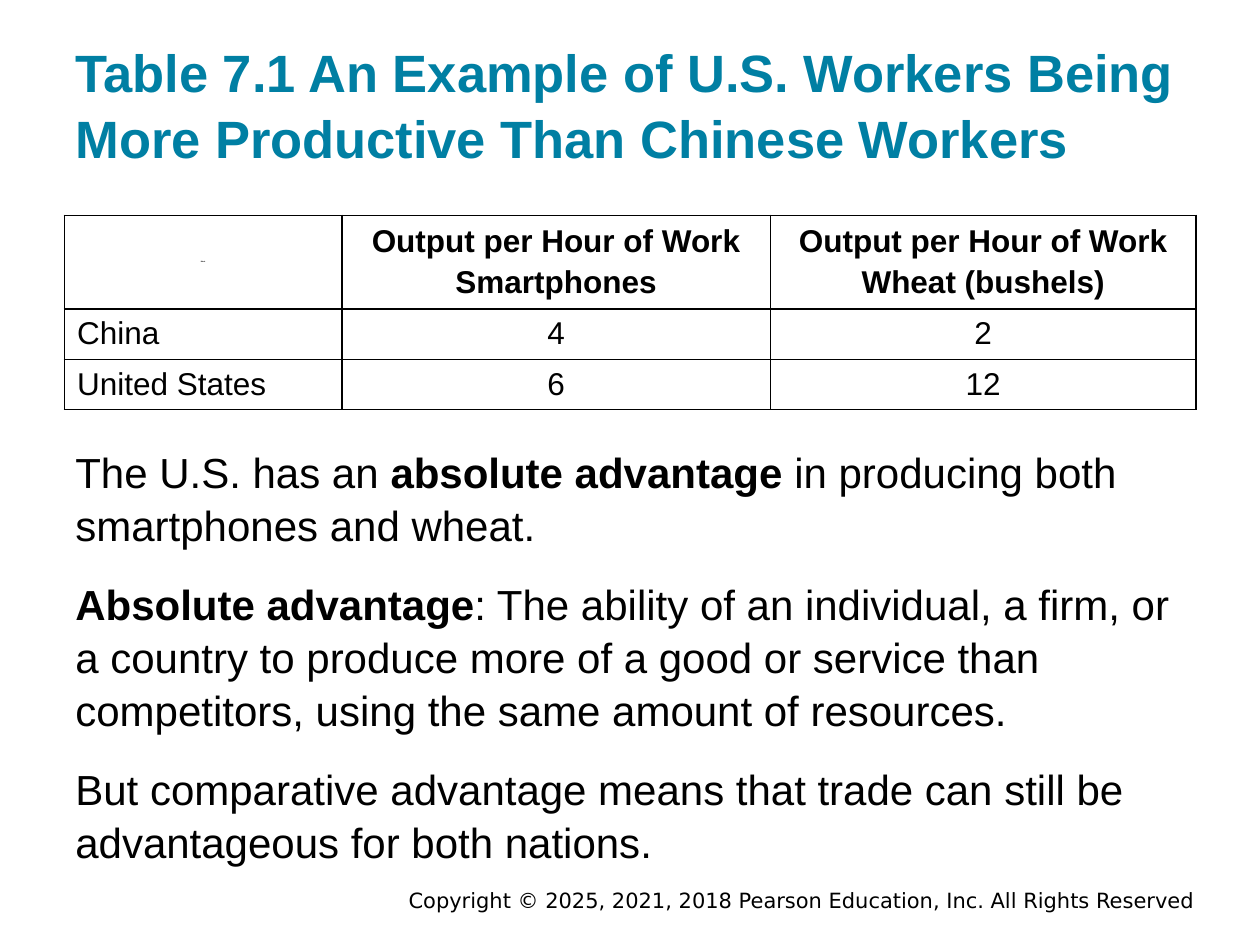
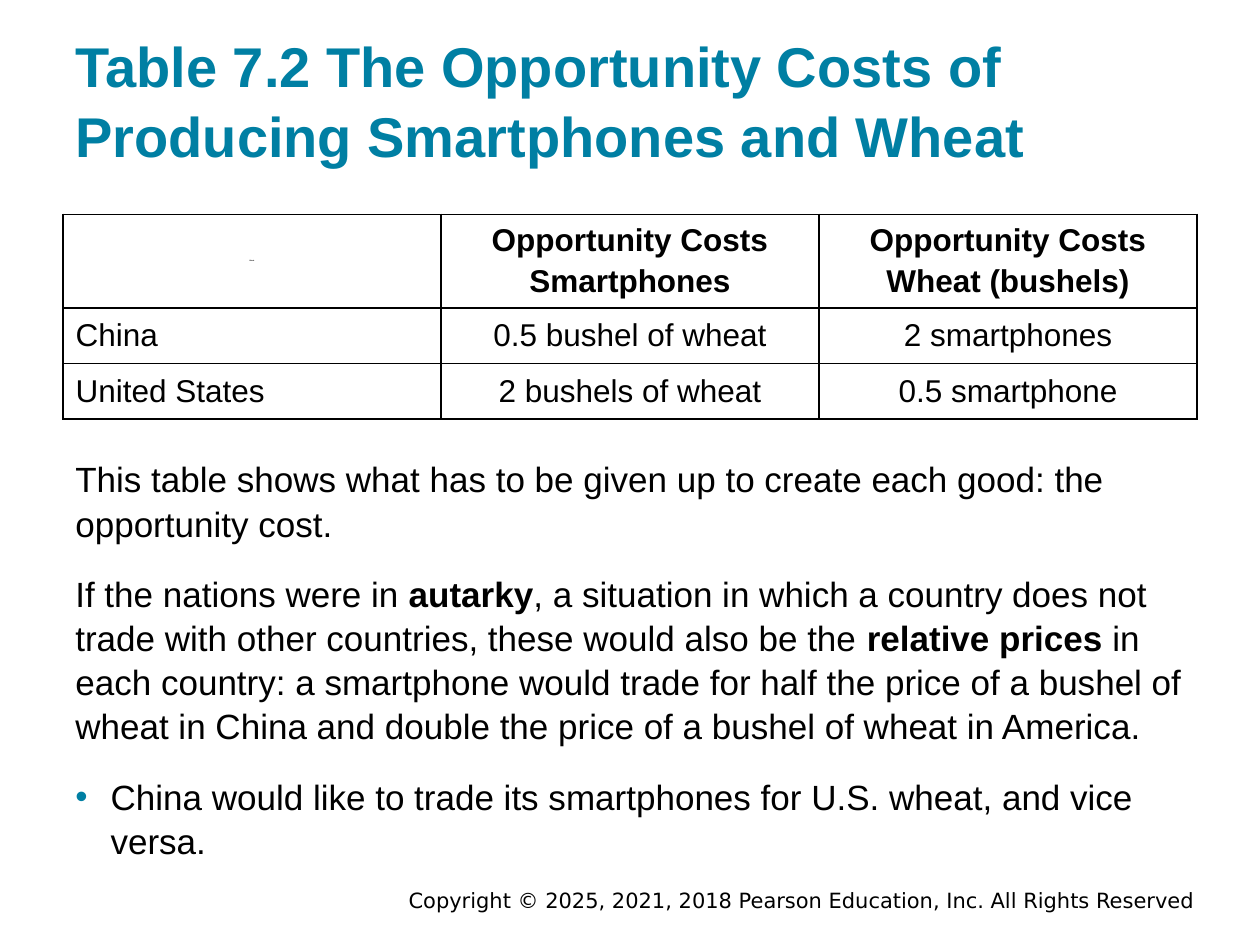
from dataclasses import dataclass

from lxml.etree import SubElement as Sub
from pptx import Presentation
from pptx.dml.color import RGBColor as RGB
from pptx.enum.text import MSO_ANCHOR as ANCHOR, PP_ALIGN as ALIGN
from pptx.oxml.ns import qn
from pptx.util import Cm, Pt


@dataclass(frozen=True)
class Theme:
    accent: RGB = RGB(0x00, 0x7F, 0xA3)
    ink: RGB = RGB(0, 0, 0)
    paper: RGB = RGB(0xFF, 0xFF, 0xFF)
    font: str = "Arial"
    footer_font: str = "DejaVu Sans"
    footer_size: int = 12
    cell_size: int = 18
    blank_size: int = 1
    border: int = 1
    leading: float = 1.05
    body_gap: int = 15
    header_gap: int = 3


theme = Theme()
FOOTER = "Copyright © 2025, 2021, 2018 Pearson Education, Inc. All Rights Reserved"

slides = [
    {
        "title": "Table 7.1 An Example of U.S. Workers Being More Productive Than Chinese Workers",
        "title_size": 30,
        "table_at": (1.3, 4.34),
        "cols": (5.59, 8.64, 8.58),
        "rows": (1.85, 0.86, 0.86),
        "cells": [
            ("Blank", "Output per Hour of Work\nSmartphones", "Output per Hour of Work\nWheat (bushels)"),
            ("China", "4", "2"),
            ("United States", "6", "12"),
        ],
        "body_at": (1.27, 8.71, 22.86, 8.66),
        "body_size": 24,
        "body": [
            "The U.S. has an *absolute advantage *in producing both smartphones and wheat.",
            "*Absolute advantage*: The ability of an individual, a firm, or a country to produce "
            "more of a good or service than competitors, using the same amount of resources.",
            "But comparative advantage means that trade can still be advantageous for both nations.",
        ],
    },
    {
        "title": "Table 7.2 The Opportunity Costs of Producing Smartphones and Wheat",
        "title_size": 32,
        "table_at": (1.27, 4.32),
        "cols": (7.62, 7.62, 7.62),
        "rows": (1.68, 1.12, 1.12),
        "cells": [
            ("Blank", "Opportunity Costs\nSmartphones", "Opportunity Costs\nWheat (bushels)"),
            ("China", "0.5 bushel of wheat", "2 smartphones"),
            ("United States", "2 bushels of wheat", "0.5 smartphone"),
        ],
        "body_at": (1.27, 8.94, 22.83, 8.38),
        "body_size": 20,
        "body": [
            "This table shows what has to be given up to create each good: the opportunity cost.",
            "If the nations were in *autarky*, a situation in which a country does not trade with "
            "other countries, these would also be the *relative prices* in each country: a "
            "smartphone would trade for half the price of a bushel of wheat in China and double "
            "the price of a bushel of wheat in America.",
            "• China would like to trade its smartphones for U.S. wheat, and vice versa.",
        ],
    },
]


def write(tf, paras, size, color=theme.ink, font=theme.font, bold=False,
          align=ALIGN.LEFT, gap=0, leading=1.0):
    for i, text in enumerate(paras):
        p = tf.add_paragraph() if i else tf.paragraphs[0]
        fmt = {"alignment": align, "line_spacing": leading, "space_before": Pt(gap if i else 0)}
        for name, value in fmt.items():
            setattr(p, name, value)
        if text.startswith("• "):
            text = text[2:]
            pPr = p._p.get_or_add_pPr()
            pPr.set("marL", str(Cm(0.71)))
            pPr.set("indent", str(Cm(-0.71)))
            Sub(Sub(pPr, qn("a:buClr")), qn("a:srgbClr"), val=str(theme.accent))
            Sub(pPr, qn("a:buFont"), typeface=theme.font)
            Sub(pPr, qn("a:buChar"), char="•")
        for j, part in enumerate(text.split("*")):
            if part:
                r = p.add_run()
                r.text = part
                r.font.color.rgb = color
                for name, value in {"name": font, "size": Pt(size), "bold": bold or j % 2 == 1}.items():
                    setattr(r.font, name, value)


def add_box(s, at, anchor, inset, paras, size, **style):
    tf = s.shapes.add_textbox(*map(Cm, at)).text_frame
    fmt = {"word_wrap": True, "vertical_anchor": anchor,
           "margin_top": Cm(inset), "margin_bottom": Cm(inset)}
    for name, value in fmt.items():
        setattr(tf, name, value)
    tf.margin_left = tf.margin_right = Cm(0.25)
    write(tf, paras, size, **style)


prs = Presentation()
prs.slide_width, prs.slide_height = Cm(25.4), Cm(19.05)

for d in slides:
    s = prs.slides.add_slide(prs.slide_layouts[6])
    s.background.fill.solid()
    s.background.fill.fore_color.rgb = theme.paper

    add_box(s, (4.45, 17.86, 19.89, 0.56), ANCHOR.MIDDLE, 0.13, [FOOTER], theme.footer_size,
            font=theme.footer_font, align=ALIGN.RIGHT)
    add_box(s, (1.27, 0.61, 22.86, 3.05), ANCHOR.BOTTOM, 0.25, [d["title"]], d["title_size"],
            color=theme.accent, bold=True, leading=theme.leading)

    size = sum(d["cols"]), sum(d["rows"])
    table = s.shapes.add_table(len(d["rows"]), len(d["cols"]), *map(Cm, d["table_at"] + size)).table
    for col, width in zip(table.columns, d["cols"]):
        col.width = Cm(width)
    for row, height in zip(table.rows, d["rows"]):
        row.height = Cm(height)
    for i, texts in enumerate(d["cells"]):
        for j, text in enumerate(texts):
            cell = table.cell(i, j)
            cell.vertical_anchor = ANCHOR.MIDDLE
            tcPr = cell._tc.get_or_add_tcPr()
            for side in ("lnL", "lnR", "lnT", "lnB"):
                ln = Sub(tcPr, qn(f"a:{side}"), w=str(Pt(theme.border)))
                Sub(Sub(ln, qn("a:solidFill")), qn("a:srgbClr"), val=str(theme.ink))
            cell.fill.background()
            write(cell.text_frame, text.split("\n"),
                  theme.blank_size if i == j == 0 else theme.cell_size,
                  bold=i == 0, align=ALIGN.LEFT if i and j == 0 else ALIGN.CENTER,
                  gap=theme.header_gap)

    add_box(s, d["body_at"], ANCHOR.TOP, 0.25, d["body"], d["body_size"],
            gap=theme.body_gap, leading=theme.leading)

prs.save("out.pptx")
